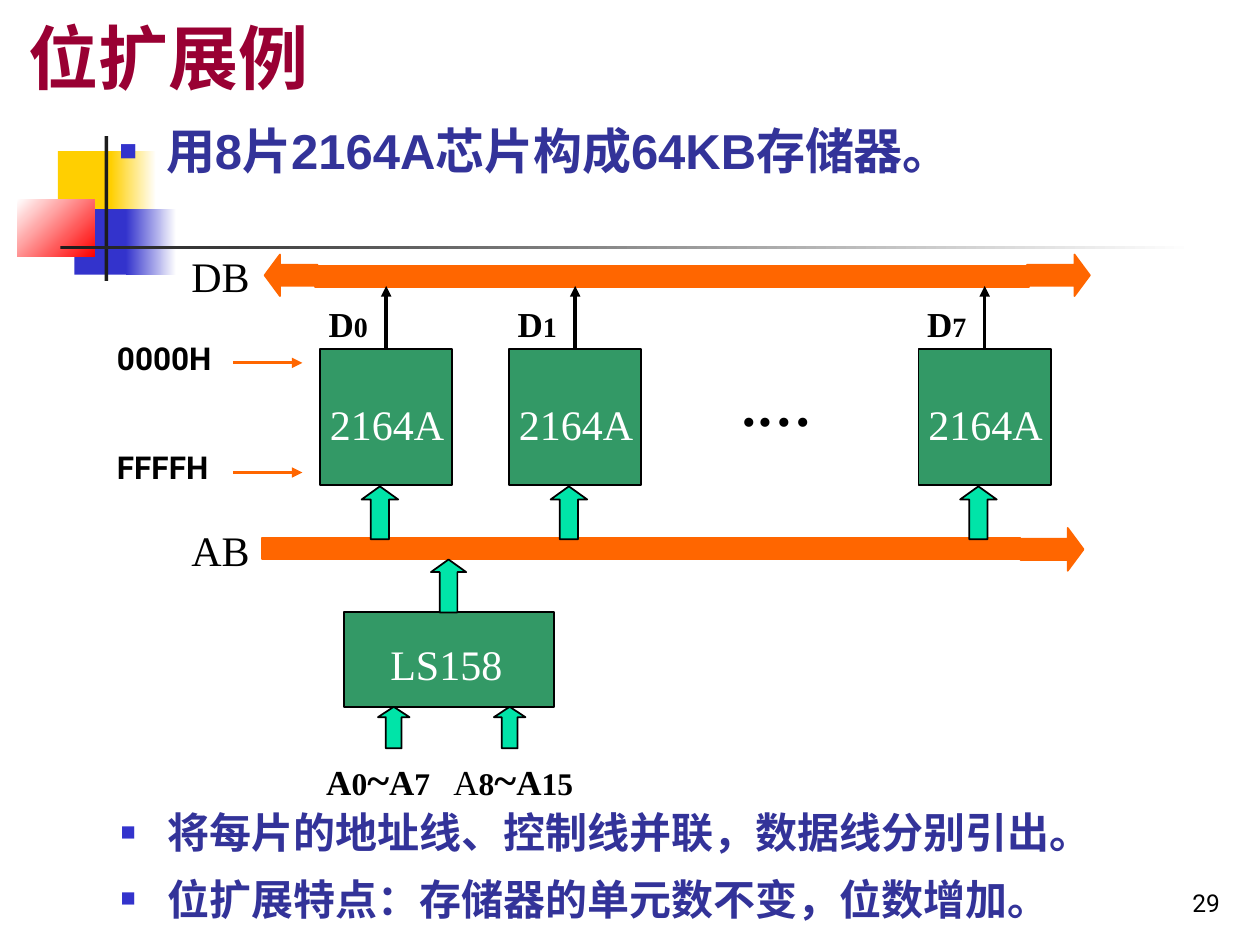
from dataclasses import dataclass

from lxml import etree
from pptx import Presentation
from pptx.dml.color import RGBColor
from pptx.enum import shapes, text
from pptx.oxml import ns
from pptx.util import Inches, Pt


@dataclass(frozen=True)
class Theme:
    """Colours, fonts and type sizes of the slide."""
    title: str = "990033"
    body: str = "333399"
    black: str = "000000"
    white: str = "FFFFFF"
    ink: str = "1C1C1C"
    yellow: str = "FFCF01"
    blue: str = "3333CC"
    red: str = "FF0000"
    chip: str = "339966"
    bus: str = "FF6600"
    address: str = "00E4A8"
    sans: str = "Arial"
    plain: str = "Roboto"
    serif: str = "Times New Roman"
    title_size: int = 40
    dots_size: int = 32
    lead_size: int = 28
    label_size: int = 24
    letter_size: int = 20
    index_size: int = 18
    data_index_size: int = 16
    number_size: int = 14


@dataclass(frozen=True)
class Box:
    """A rectangle in inches."""
    left: float
    top: float
    width: float
    height: float

    def inset(self, left, top, width, height):
        """Return a box placed relative to this one."""
        return Box(self.left + left, self.top + top, width, height)

    def lengths(self):
        """Return the four lengths for python-pptx."""
        return [Inches(value) for value in (self.left, self.top, self.width, self.height)]


THEME = Theme()
KINDS = shapes.MSO_SHAPE


def colour(value):
    """Return an RGB colour."""
    return RGBColor.from_string(value)


def add_block(slide, box, fill, line=None, kind=KINDS.RECTANGLE, head=None):
    """Add a filled preset shape, with an optional outline and arrowhead ratio."""
    shape = slide.shapes.add_shape(kind, *box.lengths())
    shape.shadow.inherit = False
    shape.fill.solid()
    shape.fill.fore_color.rgb = colour(fill)
    if line:
        shape.line.color.rgb = colour(line)
        shape.line.width = Pt(1)
    else:
        shape.line.fill.background()
    if head:
        shape.adjustments[1] = head
    return shape


def add_fade(slide, box, start, end, angle=0):
    """Add a rectangle with a two-colour gradient."""
    shape = add_block(slide, box, start)
    shape.fill.gradient()
    shape.fill.gradient_angle = angle
    for stop, value in zip(shape.fill.gradient_stops, (start, end)):
        stop.color.rgb = colour(value)


def add_up_arrow(slide, box, head=0.36):
    """Add an address arrow that points up."""
    add_block(slide, box, THEME.address, THEME.black, KINDS.UP_ARROW, head)


def add_run(paragraph, words, size, font=THEME.serif, ink=THEME.black, bold=False):
    """Add one formatted run."""
    run = paragraph.add_run()
    run.text = words
    run.font.size = Pt(size)
    run.font.name = font
    run.font.bold = bold
    run.font.color.rgb = colour(ink)


def add_frame(slide, box):
    """Add a wrapping text box and return its frame."""
    frame = slide.shapes.add_textbox(*box.lengths()).text_frame
    frame.word_wrap = True
    return frame


def add_label(slide, box, *runs):
    """Add a one-line label made of runs."""
    paragraph = add_frame(slide, box).paragraphs[0]
    for run in runs:
        add_run(paragraph, *run)


def add_arrow(slide, start, end, ink, width):
    """Add a straight line with a triangular head at its end."""
    ends = [Inches(value) for value in (*start, *end)]
    line = slide.shapes.add_connector(shapes.MSO_CONNECTOR.STRAIGHT, *ends)
    line.line.color.rgb = colour(ink)
    line.line.width = Pt(width)
    properties = line._element.spPr
    etree.SubElement(properties.find(ns.qn("a:ln")), ns.qn("a:tailEnd"), type="triangle")
    etree.SubElement(properties, ns.qn("a:effectLst"))
    return line


def add_bullets(slide, box, lines, size, spacing=1.0):
    """Add a list with small square bullets."""
    frame = add_frame(slide, box)
    for index, words in enumerate(lines):
        paragraph = frame.add_paragraph() if index else frame.paragraphs[0]
        properties = paragraph._p.get_or_add_pPr()
        properties.set("marL", str(Inches(0.37)))
        properties.set("indent", str(Inches(-0.37)))
        bullet_colour = etree.SubElement(properties, ns.qn("a:buClr"))
        etree.SubElement(bullet_colour, ns.qn("a:srgbClr"), val=THEME.blue)
        etree.SubElement(properties, ns.qn("a:buSzPct"), val="60000")
        etree.SubElement(properties, ns.qn("a:buFont"), typeface=THEME.sans)
        etree.SubElement(properties, ns.qn("a:buChar"), char="■")
        paragraph.line_spacing = spacing
        paragraph.space_before = Pt(15 if index else 0)
        add_run(paragraph, words, size, THEME.sans, THEME.body, True)


def add_ornament(slide, box):
    """Draw the coloured squares and crossing rules."""
    add_block(slide, box.inset(0.32, 0.12, 0.48, 0.52), THEME.yellow)
    add_fade(slide, box.inset(0.74, 0.12, 0.36, 0.52), THEME.yellow, THEME.white)
    add_block(slide, box.inset(0.45, 0.58, 0.46, 0.52), THEME.blue)
    add_fade(slide, box.inset(0.86, 0.58, 0.4, 0.52), THEME.blue, THEME.white)
    add_fade(slide, box.inset(0, 0.5, 0.61, 0.46), THEME.white, THEME.red, 315)
    add_block(slide, box.inset(0.69, 0, 0.03, box.height), THEME.ink)
    add_fade(slide, box.inset(0.34, 0.87, box.width - 0.34, 0.03), THEME.ink, THEME.white)


def add_title(slide, box, words):
    """Place and format the title placeholder."""
    title = slide.shapes.title
    title.left, title.top, title.width, title.height = box.lengths()
    frame = title.text_frame
    frame.auto_size = text.MSO_AUTO_SIZE.NONE
    frame.vertical_anchor = text.MSO_ANCHOR.BOTTOM
    paragraph = frame.paragraphs[0]
    paragraph.alignment = text.PP_ALIGN.LEFT
    add_run(paragraph, words, THEME.title_size, THEME.sans, THEME.title, True)


def add_buses(slide, box):
    """Draw the two-way data bus and the one-way address bus."""
    bars = [(0.42, 0.09, 5.67, 0.17), (0, 2.25, 6.02, 0.17)]
    heads = [(KINDS.RIGHT_ARROW, (6.07, 0, 0.5, 0.33)),
             (KINDS.LEFT_ARROW, (0.02, 0, 0.42, 0.33)),
             (KINDS.RIGHT_ARROW, (6.02, 2.17, 0.5, 0.34))]
    for bar in bars:
        add_block(slide, box.inset(*bar), THEME.bus, THEME.bus)
    for kind, head in heads:
        add_block(slide, box.inset(*head), THEME.bus, THEME.bus, kind, 0.37)
    for words, top in (("DB", -0.08), ("AB", 2.09)):
        add_label(slide, box.inset(-0.66, top, 0.83, 0.5), (words, THEME.label_size))


def add_chip(slide, box, index):
    """Draw a memory chip with its data line and address arrow."""
    chip = add_block(slide, box, THEME.chip, THEME.black)
    middle = box.left + box.width / 2
    line = add_arrow(slide, (middle, box.top), (middle, box.top - 0.5), THEME.black, 2)
    line.begin_connect(chip, 0)
    add_up_arrow(slide, box.inset(0.33, 1.09, 0.29, 0.42))
    add_label(slide, box.inset(-0.02, 0.34, 1.25, 0.5),
              ("2164A", THEME.label_size, THEME.serif, THEME.white))
    add_label(slide, box.inset(-0.03, -0.42, 0.58, 0.44),
              ("D", THEME.letter_size, THEME.serif, THEME.black, True),
              (index, THEME.data_index_size, THEME.serif, THEME.black, True))


def add_range(slide, box):
    """Mark the first and last address beside the first chip."""
    for words, top in (("0000H", 0), ("FFFFH", 0.87)):
        add_label(slide, box.inset(0, top, 1.18, 0.4),
                  (words, THEME.index_size, THEME.plain, THEME.black, True))
        level = box.top + top + 0.24
        add_arrow(slide, (box.left + 1.02, level), (box.left + 1.57, level), THEME.bus, 1.75)


def add_selector(slide, box):
    """Draw the address selector with its inputs and output."""
    add_block(slide, box, THEME.chip, THEME.black)
    add_up_arrow(slide, box.inset(0.69, -0.42, 0.28, 0.42))
    add_label(slide, box.inset(0.27, 0.16, 1.33, 0.5),
              ("LS158", THEME.label_size, THEME.serif, THEME.white))
    inputs = [(0.27, -0.24, 1.25, "0", "7", True), (1.19, 0.77, 1.5, "8", "15", False)]
    for arrow, left, width, first, last, bold in inputs:
        add_up_arrow(slide, box.inset(arrow, box.height, 0.25, 0.33), 0.33)
        pieces = [("A", THEME.letter_size, bold), (first, THEME.index_size, True),
                  ("~", THEME.label_size, True), ("A", THEME.letter_size, True),
                  (last, THEME.index_size, True)]
        add_label(slide, box.inset(left, 1.07, width, 0.5),
                  *[(words, size, THEME.serif, THEME.black, strong)
                    for words, size, strong in pieces])


def add_number(slide, box, words):
    """Add the slide number at the lower right."""
    frame = add_frame(slide, box)
    frame.vertical_anchor = text.MSO_ANCHOR.BOTTOM
    paragraph = frame.paragraphs[0]
    paragraph.alignment = text.PP_ALIGN.RIGHT
    add_run(paragraph, words, THEME.number_size, THEME.plain)


def main():
    """Build and save the slide."""
    presentation = Presentation()
    presentation.slide_width, presentation.slide_height = Inches(10), Inches(7.5)
    slide = presentation.slides.add_slide(presentation.slide_layouts[5])
    add_ornament(slide, Box(0.14, 1.08, 9.34, 1.15))
    add_title(slide, Box(0.13, 0.11, 8.52, 0.72), "位扩展例")
    add_bullets(slide, Box(0.85, 0.91, 8.5, 0.64),
                ["用8片2164A芯片构成64KB存储器。"], THEME.lead_size)
    add_buses(slide, Box(2.08, 2.02, 6.57, 2.51))
    for index, left in (("0", 2.54), ("1", 4.04), ("7", 7.29)):
        add_chip(slide, Box(left, 2.77, 1.05, 1.08), index)
    add_label(slide, Box(5.79, 2.89, 0.94, 0.64),
              (".…", THEME.dots_size, THEME.serif, THEME.black, True))
    add_range(slide, Box(0.83, 2.64, 1.57, 1.27))
    add_selector(slide, Box(2.73, 4.86, 1.67, 0.75))
    add_bullets(slide, Box(0.86, 6.43, 9.1, 1),
                ["将每片的地址线、控制线并联，数据线分别引出。",
                 "位扩展特点：存储器的单元数不变，位数增加。"], THEME.label_size, 0.8)
    add_number(slide, Box(7.7, 6.83, 2.08, 0.5), "29")
    presentation.save("out.pptx")


if __name__ == "__main__":
    main()
